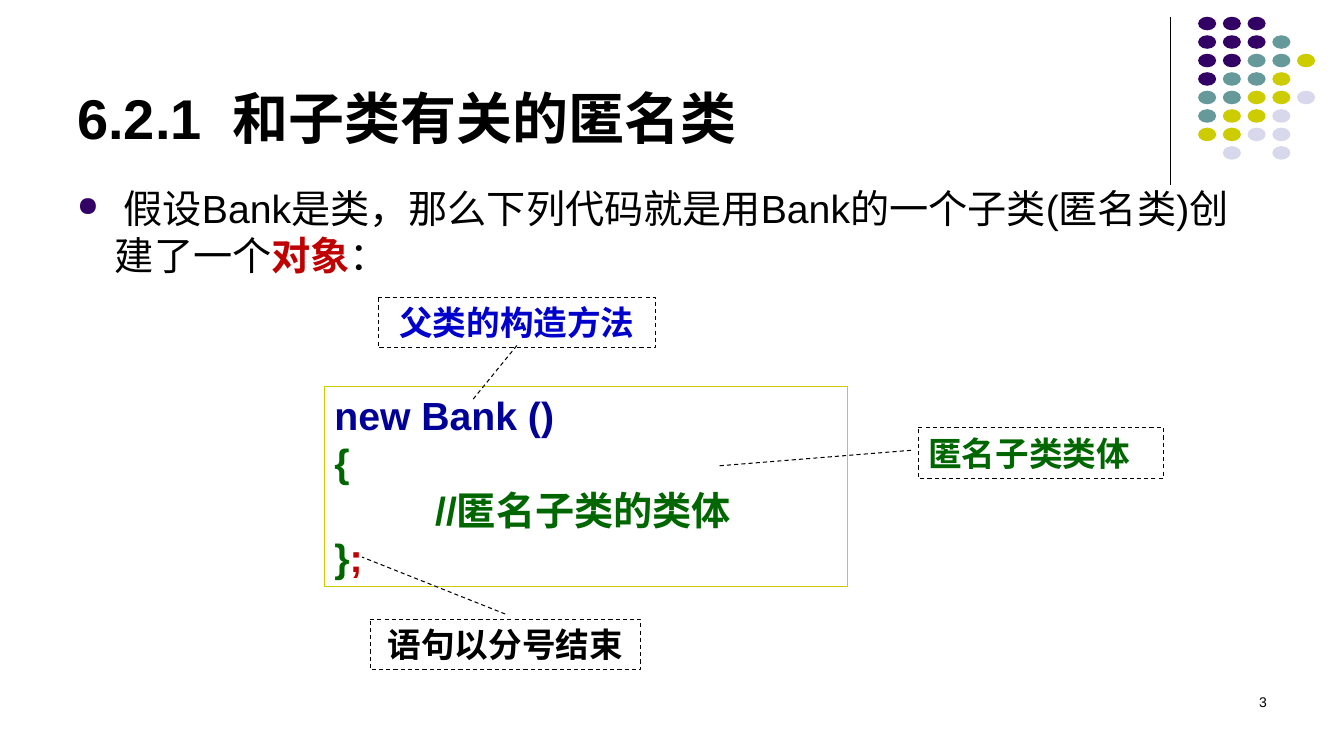
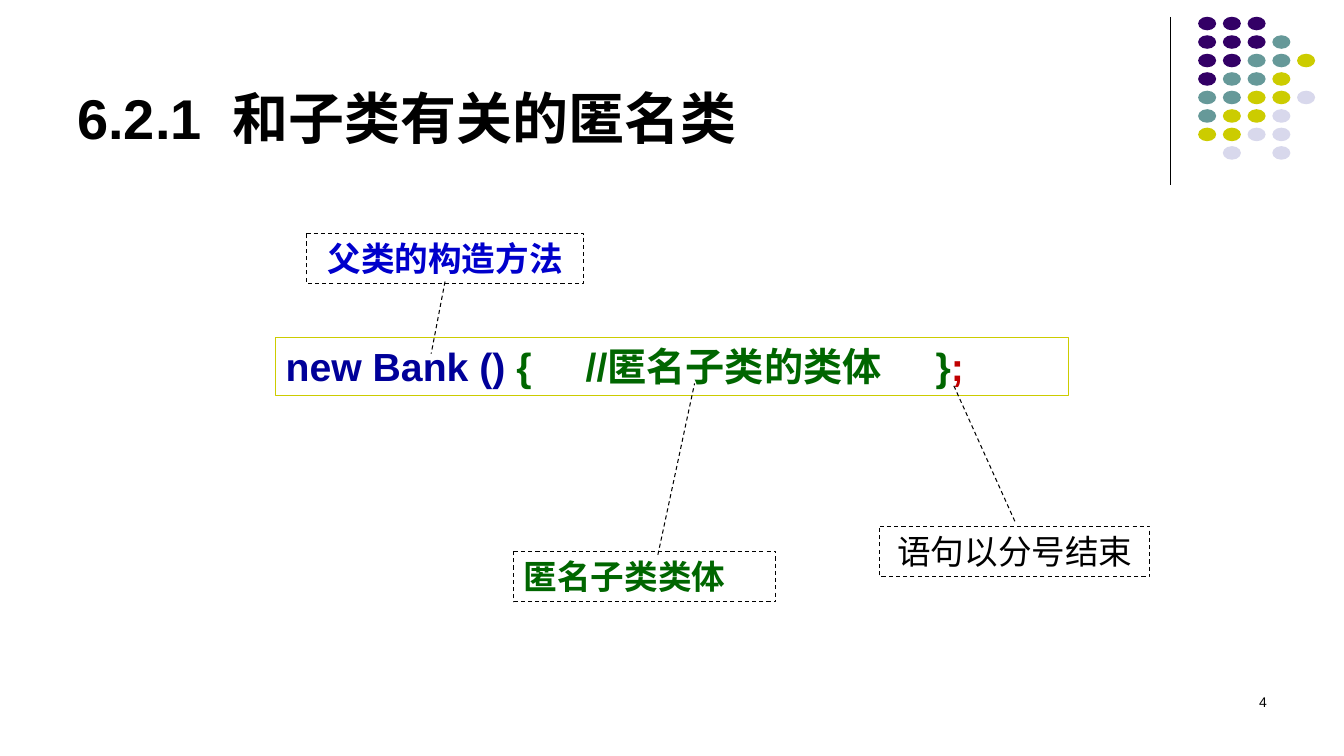
import pptx
import pptx.util
import pptx.dml.color
import pptx.enum.dml
import pptx.enum.shapes
import pptx.enum.text
import pptx.oxml
import pptx.oxml.ns
import lxml.etree

Pt = pptx.util.Pt
qn = pptx.oxml.ns.qn
SHAPE = pptx.enum.shapes.MSO_SHAPE
ALIGN = pptx.enum.text.PP_ALIGN
ANCHOR = pptx.enum.text.MSO_ANCHOR

# Shared look
LATIN, CHINESE = "Arial", "Noto Sans CJK SC"
BLACK, RED, GREEN, NAVY, BLUE = "000000", "C00000", "006600", "000099", "0000CC"
PURPLE, TEAL, OLIVE, PALE = "330066", "669999", "CCCC00", "D8D8EC"
DOT_COLORS = {"P": PURPLE, "T": TEAL, "O": OLIVE, "L": PALE}
DOT_ROWS = ["PPP", "PPPT", "PPTTO", "PTTO", "TTOOL", "TOOL", "OOLL", " L L"]
CODE_SIZE, CODE_LEADING = 28, 33.8

# Content: a run is (text, colour, bold)
TITLE = [[("6.2.1  ", BLACK, True), ("和子类有关的匿名类", BLACK, True)]]
BODY = [[
    (" 假设Bank是类，那么下列代码就是用Bank的一个子类(匿名类)创建了一个", BLACK, False),
    ("对象", RED, True), ("：", BLACK, False),
]]
CONSTRUCTOR = ("父类的构造方法", BLUE, True)
CLASS_BODY = ("匿名子类类体", GREEN, True)
ENDING = "语句以分号结束"
SLIDES = [
    {
        "number": "3",
        "body": BODY,
        "code_box": (231.8, 275.8, 373.7, 143.3),
        "code": [
            [("new Bank ()", NAVY, True)],
            [("{", GREEN, True)],
            [("//匿名子类的类体", GREEN, True)],
            [("}", GREEN, True), (";", RED, True)],
        ],
        "indents": {2: 72},
        "tabs": [],
        # run, alignment, left, top, width, pointer (y, x, y, x)
        "callouts": [
            (CLASS_BODY, ALIGN.LEFT, 656, 305.5, 175, (0.45, -0.03, 0.76, -0.82)),
            (CONSTRUCTOR, ALIGN.CENTER, 270.2, 212.3, 198, (0.96, 0.5, 2.04, 0.34)),
            ((ENDING, BLACK, True), ALIGN.CENTER, 264.4, 442.2, 193,
             (-0.1, 0.5, -1.23, -0.03)),
        ],
    },
    {
        "number": "4",
        "body": None,
        "code_box": (197, 241, 566, 41.2),
        "code": [[("new Bank () ", NAVY, True),
                  ("{\t//匿名子类的类体\t}", GREEN, True), (";", RED, True)]],
        "indents": {},
        "tabs": [214.3, 464.3],
        "callouts": [
            (CLASS_BODY, ALIGN.LEFT, 367, 393.8, 187.2, (0.07, 0.55, -3.33, 0.69)),
            (CONSTRUCTOR, ALIGN.CENTER, 218.9, 166.6, 198, (0.96, 0.5, 2.39, 0.45)),
            ((ENDING, BLACK, False), ALIGN.CENTER, 628.4, 376, 193,
             (-0.1, 0.5, -2.84, 0.27)),
        ],
    },
]


def color(value):
    return pptx.dml.color.RGBColor.from_string(value)


def add_child(parent, tag, **attributes):
    child = lxml.etree.SubElement(parent, qn(tag))
    for name, value in attributes.items():
        child.set(name, str(value))
    return child


def write(frame, lines, size, align=ALIGN.LEFT, anchor=ANCHOR.TOP, leading=None):
    frame.word_wrap = True
    frame.vertical_anchor = anchor
    for index, line in enumerate(lines):
        para = frame.paragraphs[0] if index == 0 else frame.add_paragraph()
        para.alignment = align
        if leading:
            para.line_spacing = Pt(leading)
        for text, tint, bold in line:
            span = para.add_run()
            span.text = text
            span.font.name = LATIN
            span.font.size = Pt(size)
            span.font.bold = bold
            span.font.color.rgb = color(tint)
            add_child(span._r.get_or_add_rPr(), "a:ea", typeface=CHINESE)


def add_text(page, area, lines, size, **style):
    box = page.shapes.add_textbox(*map(Pt, area))
    write(box.text_frame, lines, size, **style)
    return box


def add_outline(page, kind, area, tint, dashed=False):
    shape = page.shapes.add_shape(kind, *map(Pt, area))
    shape.shadow.inherit = False
    shape.fill.background()
    shape.line.color.rgb = color(tint)
    shape.line.width = Pt(0.75)
    if dashed:
        shape.line.dash_style = pptx.enum.dml.MSO_LINE.DASH
    return shape


def add_decoration(page):
    rule = page.shapes.add_connector(
        pptx.enum.shapes.MSO_CONNECTOR.STRAIGHT, Pt(836), Pt(12), Pt(836), Pt(132))
    rule.line.color.rgb = color(BLACK)
    rule.line.width = Pt(0.75)
    add_child(rule._element.spPr, "a:effectLst")
    dots = page.shapes.add_group_shape()
    for row, letters in enumerate(DOT_ROWS):
        for column, letter in enumerate(letters):
            if letter == " ":
                continue
            dot = dots.shapes.add_shape(
                SHAPE.OVAL, Pt(855.8 + 17.67 * column), Pt(12 + 13.2 * row),
                Pt(12.9), Pt(9.7))
            dot.shadow.inherit = False
            dot.fill.solid()
            dot.fill.fore_color.rgb = color(DOT_COLORS[letter])
            dot.line.fill.background()


def add_bullet_text(page, lines):
    box = add_text(page, (48, 128, 864, 354), lines, 28, leading=CODE_LEADING)
    para = box.text_frame.paragraphs[0]
    para.space_before = Pt(5.6)
    properties = para._p.get_or_add_pPr()
    properties.set("marL", str(Pt(27)))
    properties.set("indent", str(-Pt(27)))
    add_child(add_child(properties, "a:buClr"), "a:srgbClr", val=PURPLE)
    add_child(properties, "a:buSzPct", val=70000)
    add_child(properties, "a:buChar", char="●")


def add_code(page, content):
    shape = add_outline(page, SHAPE.RECTANGLE, content["code_box"], OLIVE)
    write(shape.text_frame, content["code"], CODE_SIZE, leading=CODE_LEADING)
    paragraphs = shape.text_frame.paragraphs
    for index, indent in content["indents"].items():
        paragraphs[index]._p.get_or_add_pPr().set("marL", str(Pt(indent)))
    if content["tabs"]:
        stops = add_child(paragraphs[0]._p.get_or_add_pPr(), "a:tabLst")
        for stop in content["tabs"]:
            add_child(stops, "a:tab", pos=Pt(stop), algn="l")


def add_callout(page, run, align, left, top, width, pointer):
    shape = add_outline(page, SHAPE.LINE_CALLOUT_1, (left, top, width, 36), BLACK, True)
    for index, value in enumerate(pointer):
        shape.adjustments[index] = value
    write(shape.text_frame, [[run]], 24, align=align, anchor=ANCHOR.MIDDLE)


# Build the deck
deck = pptx.Presentation()
deck.slide_width, deck.slide_height = Pt(960), Pt(540)
for content in SLIDES:
    page = deck.slides.add_slide(deck.slide_layouts[5])
    add_decoration(page)
    title = page.shapes.title
    title.left, title.top, title.width, title.height = map(Pt, (48, 9.4, 792, 102.2))
    write(title.text_frame, TITLE, 40, anchor=ANCHOR.BOTTOM)
    if content["body"]:
        add_bullet_text(page, content["body"])
    add_text(page, (688, 492, 224, 36), [[(content["number"], BLACK, False)]], 10,
             align=ALIGN.RIGHT)
    add_code(page, content)
    for callout in content["callouts"]:
        add_callout(page, *callout)
deck.save("out.pptx")
